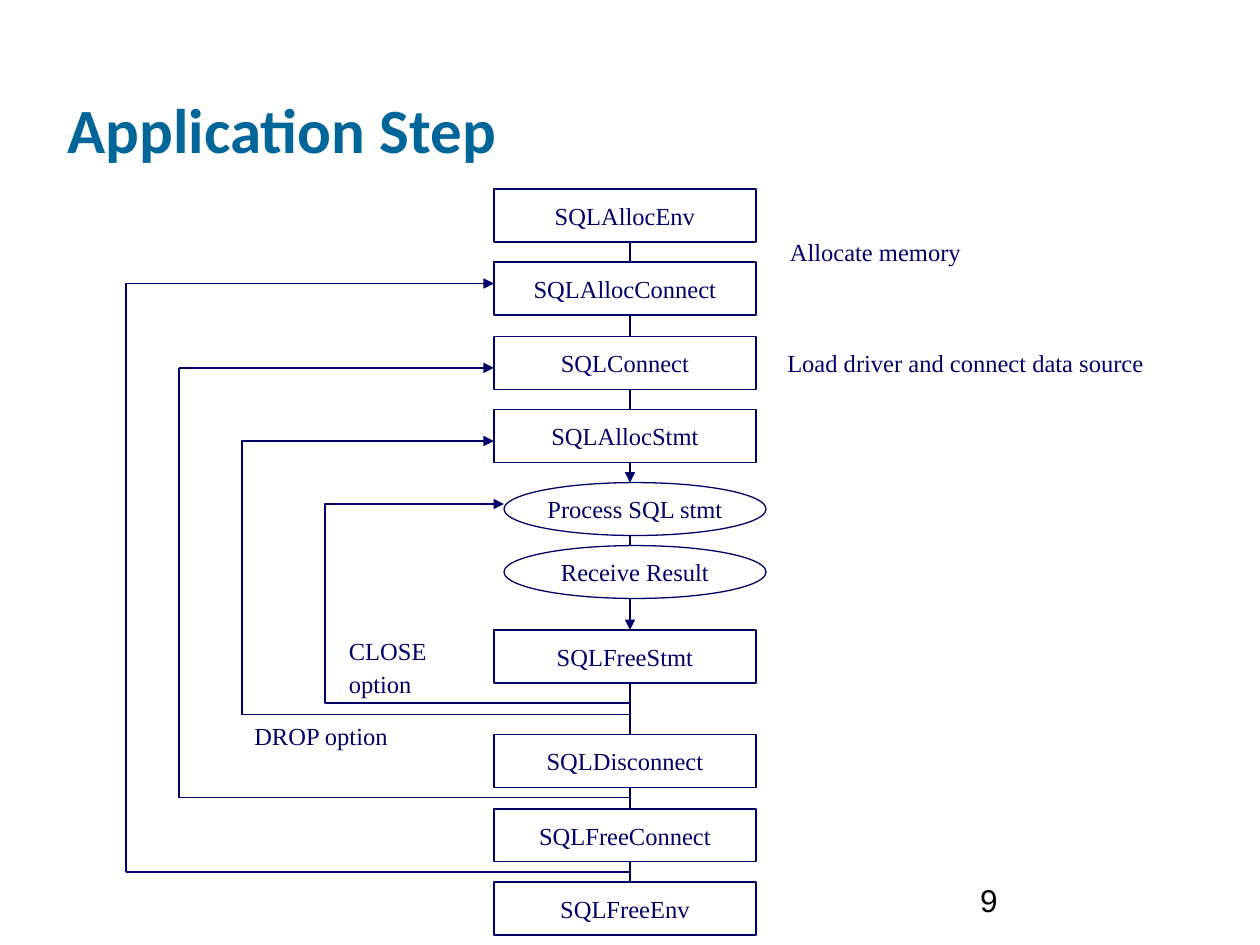
from dataclasses import dataclass

from lxml.etree import SubElement
from pptx import Presentation
from pptx.dml.color import RGBColor
from pptx.enum.shapes import MSO_CONNECTOR, MSO_SHAPE
from pptx.enum.text import MSO_ANCHOR, MSO_AUTO_SIZE, PP_ALIGN
from pptx.oxml.ns import qn
from pptx.util import Inches, Pt

NAVY = RGBColor(0x00, 0x00, 0x66)
TEAL = RGBColor(0x00, 0x66, 0x99)
BLACK = RGBColor(0x00, 0x00, 0x00)
WHITE = RGBColor(0xFF, 0xFF, 0xFF)

STEP_WIDTH, STEP_HEIGHT = 2.08, 0.42
STEP_LEFT, ACTION_LEFT = 3.92, 4
SPINE = 5


@dataclass(frozen=True)
class Step:
    text: str
    top: float
    left: float = STEP_LEFT
    shape: MSO_SHAPE = MSO_SHAPE.RECTANGLE


@dataclass(frozen=True)
class Loop:
    bottom: float
    left: float
    top: float
    target: float = STEP_LEFT

    def points(self) -> list[tuple[float, float]]:
        return [(SPINE, self.bottom), (self.left, self.bottom),
                (self.left, self.top), (self.target, self.top)]


@dataclass(frozen=True)
class Label:
    lines: tuple[str, ...]
    left: float
    top: float
    width: float
    height: float
    size: float = 14
    font: str = "Times New Roman"
    color: RGBColor = NAVY
    bold: bool = False
    anchor: MSO_ANCHOR = MSO_ANCHOR.TOP
    grow: bool = True
    spacing: float = 1.0


STEPS = [
    Step("SQLAllocEnv", 1.5),
    Step("SQLAllocConnect", 2.08),
    Step("SQLConnect", 2.67),
    Step("SQLAllocStmt", 3.25),
    Step("Process SQL stmt", 3.83, ACTION_LEFT, MSO_SHAPE.OVAL),
    Step("Receive Result", 4.33, ACTION_LEFT, MSO_SHAPE.OVAL),
    Step("SQLFreeStmt", 5),
    Step("SQLDisconnect", 5.83),
    Step("SQLFreeConnect", 6.42),
    Step("SQLFreeEnv", 7),
]
ARROW_TARGETS = {"Process SQL stmt", "SQLFreeStmt"}
CONNECTION_LOOPS = [Loop(6.33, 1.42, 2.92), Loop(6.92, 1, 2.25)]
STATEMENT_LOOPS = [Loop(5.58, 2.58, 4, ACTION_LEFT), Loop(5.67, 1.92, 3.5)]
LABELS = [
    Label(("Application Step",), 0.44, 0.12, 8.5, 1.25, 36, "Calibri", TEAL,
          True, MSO_ANCHOR.BOTTOM, False),
    Label(("CLOSE", "option"), 2.67, 5.08, 0.92, 0.5, spacing=0.6),
    Label(("DROP option",), 1.92, 5.67, 1.67, 0.34),
    Label(("Load driver and connect data source",), 6.15, 2.71, 3.44, 0.34),
    Label(("Allocate memory",), 6.17, 1.83, 1.92, 0.34),
    Label(("9",), 7.68, 6.84, 2.08, 0.5, 18, "Arial", BLACK,
          anchor=MSO_ANCHOR.BOTTOM, grow=False),
]


def style_line(item, arrow: bool = False) -> None:
    """Give a shape or connector the thin navy line, with an optional arrowhead."""
    item.line.color.rgb = NAVY
    item.line.width = Pt(0.75)
    if arrow:
        SubElement(item.get_or_add_ln(), qn("a:tailEnd"), type="triangle")


def draw_line(page, start: tuple[float, float], end: tuple[float, float],
              arrow: bool = False) -> None:
    """Draw a straight line between two points."""
    ends = [Inches(value) for value in (*start, *end)]
    connector = page.shapes.add_connector(MSO_CONNECTOR.STRAIGHT, *ends)
    style_line(connector, arrow)
    SubElement(connector.element.spPr, qn("a:effectLst"))


def draw_step(page, step: Step) -> None:
    """Draw one captioned step of the flow."""
    shape = page.shapes.add_shape(step.shape, Inches(step.left), Inches(step.top),
                                  Inches(STEP_WIDTH), Inches(STEP_HEIGHT))
    shape.shadow.inherit = False
    shape.fill.solid()
    shape.fill.fore_color.rgb = WHITE
    style_line(shape)
    frame = shape.text_frame
    frame.word_wrap = False
    frame.vertical_anchor = MSO_ANCHOR.MIDDLE
    para = frame.paragraphs[0]
    para.text = step.text
    para.alignment = PP_ALIGN.CENTER
    para.font.name = "Times New Roman"
    para.font.size = Pt(14)
    para.font.color.rgb = NAVY


def draw_connection_loop(page, loop: Loop) -> None:
    """Draw a loop as three straight lines ending in an arrow."""
    points = loop.points()
    for start, end in zip(points, points[1:]):
        draw_line(page, start, end, arrow=end == points[-1])


def draw_statement_loop(page, loop: Loop) -> None:
    """Draw a loop as a single open outline ending in an arrow."""
    points = [(Inches(x), Inches(y)) for x, y in loop.points()]
    builder = page.shapes.build_freeform(*points[0])
    builder.add_line_segments(points[1:], close=False)
    shape = builder.convert_to_shape()
    shape.shadow.inherit = False
    shape.fill.background()
    style_line(shape, arrow=True)


def draw_label(page, label: Label) -> None:
    """Draw a free-standing text label."""
    box = page.shapes.add_textbox(Inches(label.left), Inches(label.top),
                                  Inches(label.width), Inches(label.height))
    frame = box.text_frame
    frame.word_wrap = True
    frame.vertical_anchor = label.anchor
    if label.grow:
        frame.auto_size = MSO_AUTO_SIZE.SHAPE_TO_FIT_TEXT
    for index, line in enumerate(label.lines):
        para = frame.add_paragraph() if index else frame.paragraphs[0]
        para.text = line
        para.line_spacing = label.spacing
        if index:
            para.space_before = Pt(8.8)
        para.font.name = label.font
        para.font.size = Pt(label.size)
        para.font.bold = label.bold
        para.font.color.rgb = label.color


def main() -> None:
    """Build the slide and save it."""
    deck = Presentation()
    deck.slide_width, deck.slide_height = Inches(10), Inches(7.5)
    page = deck.slides.add_slide(deck.slide_layouts[6])
    for upper, lower in zip(STEPS, STEPS[1:]):
        draw_line(page, (SPINE, upper.top + STEP_HEIGHT), (SPINE, lower.top),
                  lower.text in ARROW_TARGETS)
    for step in STEPS:
        draw_step(page, step)
    for loop in CONNECTION_LOOPS:
        draw_connection_loop(page, loop)
    for loop in STATEMENT_LOOPS:
        draw_statement_loop(page, loop)
    for label in LABELS:
        draw_label(page, label)
    deck.save("out.pptx")


if __name__ == "__main__":
    main()
